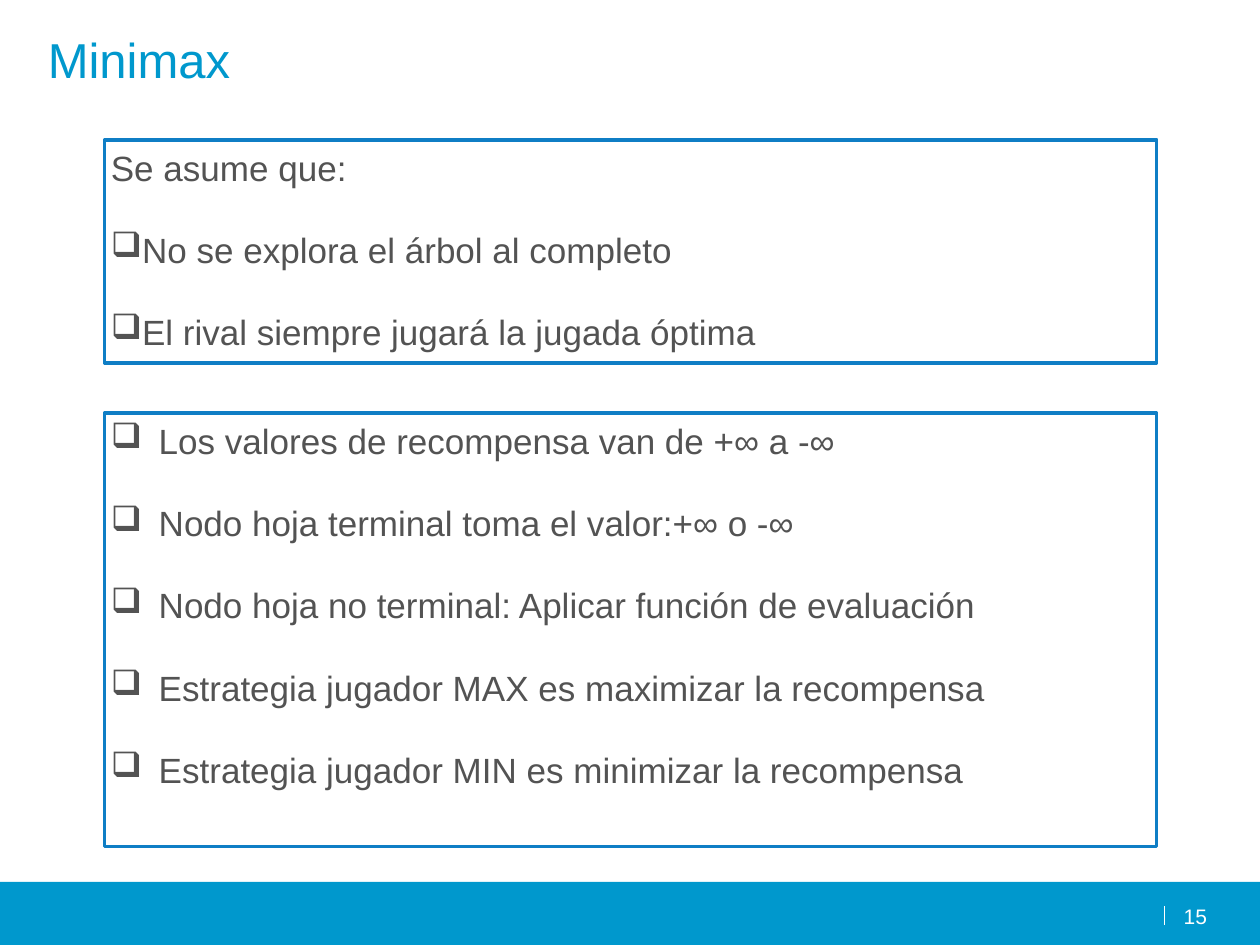
from typing import NamedTuple

from lxml.etree import SubElement as Sub
from pptx import Presentation
from pptx.dml.color import RGBColor
from pptx.enum.shapes import MSO_CONNECTOR as Conn, MSO_SHAPE as Form
from pptx.enum.text import MSO_ANCHOR as Anchor, MSO_AUTO_SIZE as Fit, PP_ALIGN as Align
from pptx.oxml.ns import qn
from pptx.util import Inches, Pt

CYAN = RGBColor(0x00, 0x98, 0xCD)
BLUE = RGBColor(0x0F, 0x7E, 0xC5)
GREY = RGBColor(0x53, 0x53, 0x53)
WHITE = RGBColor(0xFF, 0xFF, 0xFF)
WIDE, HIGH = Inches(10), Inches(7.5)
PAD = 0.05  # inches inside a panel


class Area(NamedTuple):
    """A place in percent of the slide's width and height."""
    left: float
    top: float
    width: float
    height: float

    def emu(self) -> tuple:
        sides = (WIDE, HIGH, WIDE, HIGH)
        return tuple(round(part * side / 100) for part, side in zip(self, sides))


class Panel(NamedTuple):
    area: Area
    head: tuple
    items: tuple
    indent: float


PANELS = (
    Panel(Area(8.3, 14.8, 83.5, 23.6), ("Se asume que:",),
          ("No se explora el árbol al completo",
           "El rival siempre jugará la jugada óptima"), 0),
    Panel(Area(8.3, 43.73, 83.5, 45.87), (),
          ("Los valores de recompensa van de +∞ a -∞",
           "Nodo hoja terminal toma el valor:+∞ o -∞",
           "Nodo hoja no terminal: Aplicar función de evaluación",
           "Estrategia jugador MAX es maximizar la recompensa",
           "Estrategia jugador MIN es minimizar la recompensa"), 0.38),
)


def set_frame(frame, pads: tuple) -> None:
    frame.word_wrap = True
    frame.auto_size = Fit.NONE
    frame.vertical_anchor = Anchor.TOP
    (frame.margin_left, frame.margin_top,
     frame.margin_right, frame.margin_bottom) = map(Inches, pads)


def add_mark(para, indent: float) -> None:
    """Give the paragraph a square bullet with a hanging indent."""
    props = para._p.get_or_add_pPr()
    props.set("marL", str(Inches(indent)))
    props.set("indent", str(-Inches(indent)))
    tint = Sub(props, qn("a:buClr"))
    Sub(tint, qn("a:srgbClr"), val=str(GREY))
    Sub(props, qn("a:buChar"), char="❑")


def write(para, text: str, *, size: float, color: RGBColor,
          align=Align.LEFT, before: float = 0) -> None:
    para.alignment = align
    para.space_before = Pt(before)
    run = para.add_run()
    run.text = text
    run.font.name = "Arial"
    run.font.size = Pt(size)
    run.font.color.rgb = color


def add_rect(slide, area: Area, fill: RGBColor):
    rect = slide.shapes.add_shape(Form.RECTANGLE, *area.emu())
    rect.shadow.inherit = False
    rect.fill.solid()
    rect.fill.fore_color.rgb = fill
    rect.line.fill.background()
    return rect


def add_panel(slide, panel: Panel) -> None:
    rect = add_rect(slide, panel.area, WHITE)
    rect.line.color.rgb = BLUE
    rect.line.width = Pt(2)
    frame = rect.text_frame
    set_frame(frame, (PAD,) * 4)
    for row, text in enumerate(panel.head + panel.items):
        para = frame.add_paragraph() if row else frame.paragraphs[0]
        if text in panel.items:
            add_mark(para, panel.indent)
        write(para, text, size=20, color=GREY, before=23 if row else 0)


def add_footer(slide) -> None:
    add_rect(slide, Area(0, 93.33, 100, 6.67), CYAN)
    left, top, _, tall = Area(92.4, 95.87, 0, 2).emu()
    rule = slide.shapes.add_connector(Conn.STRAIGHT, left, top + tall, left, top)
    rule.line.color.rgb = WHITE
    rule.line.width = Pt(0.75)
    Sub(rule._element.spPr, qn("a:effectLst"))
    box = slide.shapes.add_textbox(*Area(92.8, 95.6, 3, 2.53).emu())
    set_frame(box.text_frame, (0,) * 4)
    write(box.text_frame.paragraphs[0], "15", size=12, color=WHITE, align=Align.RIGHT)


def add_title(slide, text: str) -> None:
    title = slide.shapes.title
    title.left, title.top, title.width, title.height = Area(2.8, 1.87, 90, 16.67).emu()
    set_frame(title.text_frame, (0.1, 0.09, 0.1, 0.05))
    write(title.text_frame.paragraphs[0], text, size=28, color=CYAN)


def main() -> None:
    deck = Presentation()
    deck.slide_width, deck.slide_height = WIDE, HIGH
    slide = deck.slides.add_slide(deck.slide_layouts[5])
    add_footer(slide)
    add_title(slide, "Minimax")
    for panel in PANELS:
        add_panel(slide, panel)
    deck.save("out.pptx")


if __name__ == "__main__":
    main()
